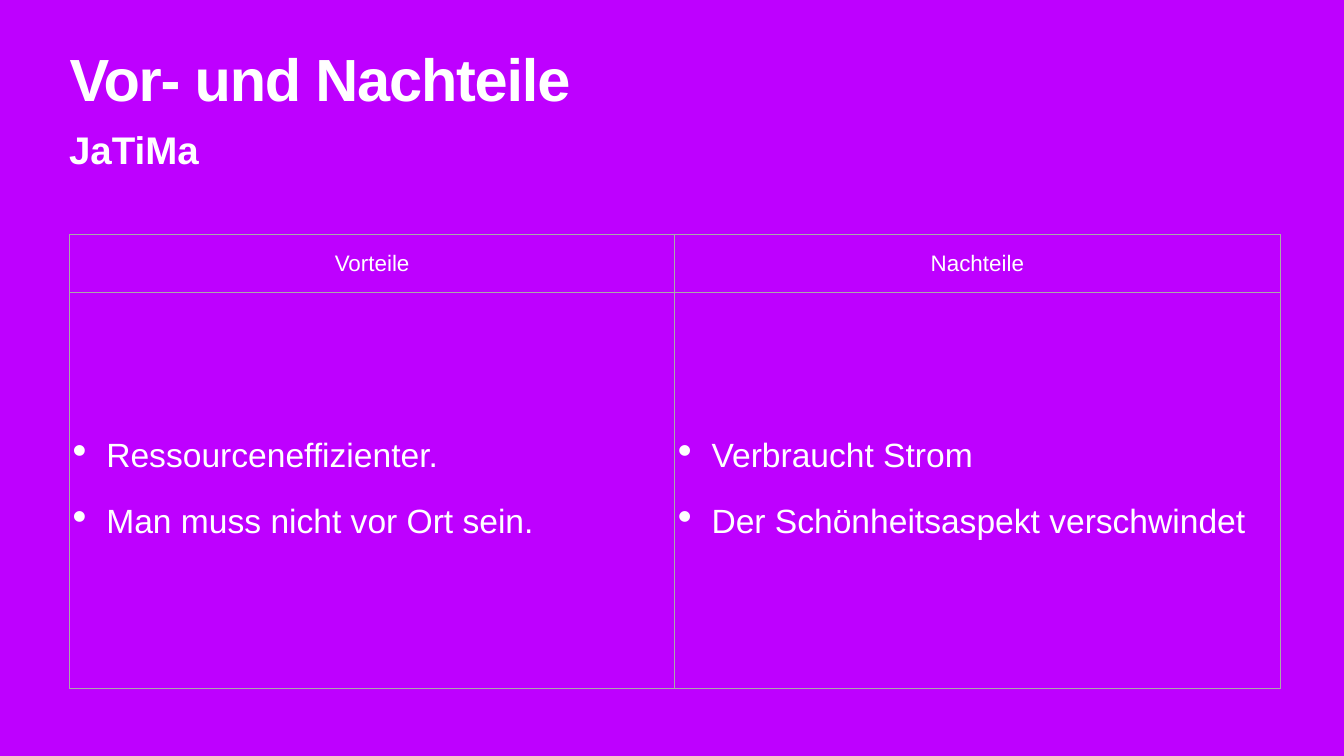
"""Build a slide that sets advantages against disadvantages in a two-column table."""
from lxml import etree
from pptx import Presentation
from pptx.dml.color import RGBColor
from pptx.enum.text import MSO_ANCHOR, MSO_AUTO_SIZE, PP_ALIGN
from pptx.oxml.ns import qn
from pptx.util import Inches, Pt

TOP, MIDDLE = MSO_ANCHOR.TOP, MSO_ANCHOR.MIDDLE
LEFT, CENTER = PP_ALIGN.LEFT, PP_ALIGN.CENTER
NO_AUTOFIT = MSO_AUTO_SIZE.NONE
PURPLE = RGBColor(0xBE, 0x00, 0xFF)
WHITE = RGBColor(0xFF, 0xFF, 0xFF)
GREY = RGBColor(0xA9, 0xA9, 0xA9)

COLUMNS = [
    ("Vorteile", ["Ressourceneffizienter.", "Man muss nicht vor Ort sein."]),
    ("Nachteile", ["Verbraucht Strom", "Der Schönheitsaspekt verschwindet"]),
]


def format_text(para, size, align=LEFT, bold=False):
    para.alignment = align
    for span in para.runs:
        span.font.name = "Arial"
        span.font.size = Pt(size)
        span.font.bold = bold
        span.font.color.rgb = WHITE


def format_cell(cell):
    cell.vertical_anchor = MIDDLE
    cell.margin_left = cell.margin_right = Inches(0.06)
    cell.margin_top = cell.margin_bottom = Inches(0.06)
    cell.fill.background()
    properties = cell._tc.get_or_add_tcPr()
    for position, side in enumerate(("lnL", "lnR", "lnT", "lnB")):
        line = etree.Element(qn(f"a:{side}"), w=str(Pt(1)))
        fill = etree.SubElement(line, qn("a:solidFill"))
        etree.SubElement(fill, qn("a:srgbClr"), val=str(GREY))
        properties.insert(position, line)


deck = Presentation()
deck.slide_width, deck.slide_height = Inches(26.67), Inches(15)
page = deck.slides.add_slide(deck.slide_layouts[5])
page.background.fill.solid()
page.background.fill.fore_color.rgb = PURPLE

title = page.shapes.title
subtitle = page.shapes.add_textbox(0, 0, 0, 0)
headings = [
    (title, "Vor- und Nachteile", 1.04, 1.57, 0.06, 85),
    (subtitle, "JaTiMa", 2.46, 1.02, 0.05, 55),
]
for box, text, top, height, margin, size in headings:
    box.left, box.top = Inches(1.32), Inches(top)
    box.width, box.height = Inches(24.03), Inches(height)
    frame = box.text_frame
    frame.text = text
    frame.word_wrap = True
    frame.auto_size = NO_AUTOFIT
    frame.vertical_anchor = TOP
    frame.margin_left = frame.margin_right = Inches(margin)
    frame.margin_top = frame.margin_bottom = Inches(margin)
    format_text(frame.paragraphs[0], size, bold=True)

title_para = title.text_frame.paragraphs[0]
title_para.line_spacing = 0.8
title_para.runs[0].font._element.set("spc", "-170")

table = page.shapes.add_table(
    2, 2, Inches(1.38), Inches(4.65), Inches(24.02), Inches(9.01)
).table
table.first_row = False
table.horz_banding = False
table.rows[0].height, table.rows[1].height = Inches(1.15), Inches(7.86)

for column, (heading, points) in enumerate(COLUMNS):
    table.columns[column].width = Inches(12.01)
    head, body = table.cell(0, column), table.cell(1, column)
    format_cell(head)
    format_cell(body)
    head.text_frame.text = heading
    format_text(head.text_frame.paragraphs[0], 32, CENTER)

    body.text_frame.text = "\n".join(points)
    for number, para in enumerate(body.text_frame.paragraphs):
        properties = para._p.get_or_add_pPr()
        properties.set("marL", str(Inches(0.67)))
        properties.set("indent", str(-Inches(0.67)))
        etree.SubElement(properties, qn("a:buSzPct"), val="123000")
        etree.SubElement(properties, qn("a:buChar"), char="•")
        para.line_spacing = 0.9
        para.space_before = Pt(45 if number else 0)
        format_text(para, 48)

deck.save("out.pptx")
